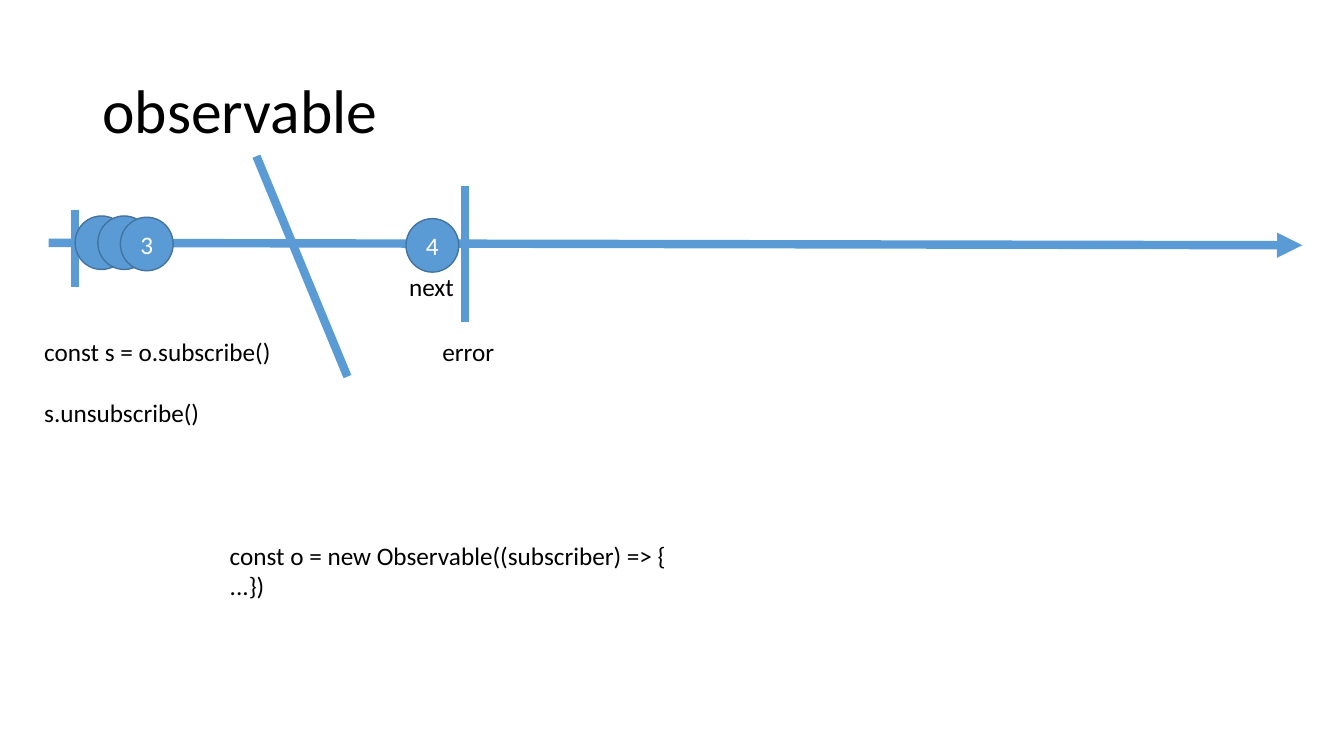
from dataclasses import dataclass

from lxml import etree
from pptx import Presentation
from pptx.dml.color import RGBColor
from pptx.enum.shapes import MSO_CONNECTOR, MSO_SHAPE
from pptx.enum.text import MSO_ANCHOR, MSO_AUTO_SIZE, PP_ALIGN
from pptx.oxml.ns import qn
from pptx.util import Pt

STRAIGHT = MSO_CONNECTOR.STRAIGHT
OVAL = MSO_SHAPE.OVAL
TOP, MIDDLE = MSO_ANCHOR.TOP, MSO_ANCHOR.MIDDLE
LEFT, CENTER = PP_ALIGN.LEFT, PP_ALIGN.CENTER
NO_AUTOFIT, FIT_SHAPE = MSO_AUTO_SIZE.NONE, MSO_AUTO_SIZE.SHAPE_TO_FIT_TEXT


@dataclass(frozen=True)
class Theme:
    font: str = "Calibri"
    title_size: int = 44
    body_size: int = 18
    text: RGBColor = RGBColor(0x00, 0x00, 0x00)
    inverse: RGBColor = RGBColor(0xFF, 0xFF, 0xFF)
    accent: RGBColor = RGBColor(0x5B, 0x9B, 0xD5)
    outline: RGBColor = RGBColor(0x43, 0x73, 0x9E)
    stroke: int = 6


THEME = Theme()


def write_text(shape, text, size=THEME.body_size, color=THEME.text, align=LEFT,
               anchor=TOP, wrap=True, auto_size=NO_AUTOFIT, line_spacing=1.0, gap=0):
    frame = shape.text_frame
    frame.text = text
    frame.word_wrap = wrap
    frame.auto_size = auto_size
    frame.vertical_anchor = anchor
    for index, paragraph in enumerate(frame.paragraphs):
        paragraph.alignment = align
        paragraph.line_spacing = line_spacing
        paragraph.space_before = Pt(gap if index else 0)
        for run in paragraph.runs:
            run.font.name = THEME.font
            run.font.size = Pt(size)
            run.font.color.rgb = color


def add_title(slide, text):
    title = slide.shapes.title
    title.left, title.top, title.width, title.height = Pt(66), Pt(28.75), Pt(828), Pt(104.4)
    write_text(title, text, size=THEME.title_size, anchor=MIDDLE, line_spacing=0.9)


def add_label(slide, text, left, top, width, height, gap=0):
    label = slide.shapes.add_textbox(Pt(left), Pt(top), Pt(width), Pt(height))
    write_text(label, text, wrap=False, auto_size=FIT_SHAPE, gap=gap)


def add_line(slide, start, end, arrow=False):
    connector = slide.shapes.add_connector(STRAIGHT, *map(Pt, start + end))
    connector.line.color.rgb = THEME.accent
    connector.line.width = Pt(THEME.stroke)
    if arrow:
        line = connector.line._get_or_add_ln()
        etree.SubElement(line, qn("a:tailEnd"), type="triangle")
    etree.SubElement(connector._element.spPr, qn("a:effectLst"))


def add_event(slide, left, top, text=""):
    event = slide.shapes.add_shape(OVAL, Pt(left), Pt(top), Pt(37.7), Pt(38.2))
    event.shadow.inherit = False
    event.fill.solid()
    event.fill.fore_color.rgb = THEME.accent
    event.line.color.rgb = THEME.outline
    event.line.width = Pt(1)
    if text:
        write_text(event, text, color=THEME.inverse, align=CENTER, anchor=MIDDLE)


def main():
    presentation = Presentation()
    presentation.slide_width, presentation.slide_height = Pt(960), Pt(540)
    slide = presentation.slides.add_slide(presentation.slide_layouts[5])

    add_title(slide, "observable")
    add_line(slide, (34.8, 173.5), (930.2, 175.2), arrow=True)
    add_line(slide, (53.7, 149.8), (53.7, 204.8))
    add_label(slide, "const o = new Observable((subscriber) => {\n...})", 157, 382.3, 329.8, 50.9)
    for left, top, text in ((53.7, 154.3, ""), (69.9, 154.3, ""),
                            (86, 155.2, "3"), (290, 156.2, "4")):
        add_event(slide, left, top, text)
    add_label(slide, "next", 285.1, 190.3, 46.8, 29.1)
    add_line(slide, (332.2, 133), (332.2, 229.8))
    add_label(slide, "error", 308.9, 236.9, 51.8, 29.1)
    add_line(slide, (183.2, 111.6), (248.2, 269))
    add_label(slide, "const s = o.subscribe()\ns.unsubscribe()", 24.5, 236.9, 177.8, 72.7, gap=22)

    presentation.save("out.pptx")


if __name__ == "__main__":
    main()
